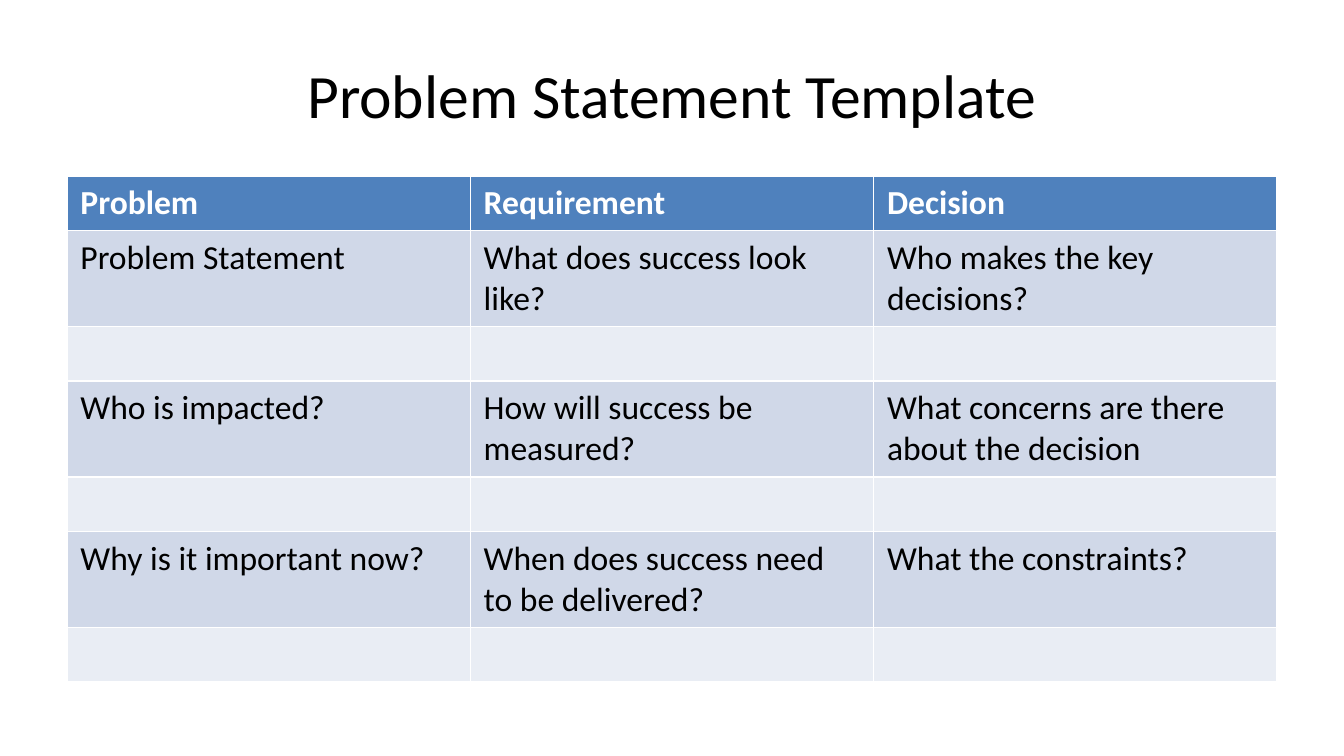
from dataclasses import dataclass

from pptx import Presentation
from pptx.dml.color import RGBColor as Rgb
from pptx.enum.text import MSO_ANCHOR as Anchor, MSO_AUTO_SIZE as Fit, PP_ALIGN as Align
from pptx.util import Emu, Pt

SCALE = 914400 / 134.4


@dataclass(frozen=True)
class Theme:
    font: str = "Calibri"
    title: int = 33
    body: int = 18
    ink: str = "000000"
    white: str = "FFFFFF"
    head: str = "4F81BD"
    band: str = "D0D8E8"
    blank: str = "E9EDF4"


THEME = Theme()
LEFT, WIDTH = 67, 1210
HEAD_H, ASK_H, BLANK_H = 54, 96, 54

HEADS = ["Problem", "Requirement", "Decision"]
ASKS = [
    ["Problem Statement", "What does success look like?", "Who makes the key decisions?"],
    ["Who is impacted?", "How will success be measured?",
     "What concerns are there about the decision"],
    ["Why is it important now?", "When does success need to be delivered?",
     "What the constraints?"],
]


def px(n):
    return Emu(round(n * SCALE))


def style(para, size, color, bold=False):
    for run in para.runs:
        font = run.font
        font.name, font.size, font.bold = THEME.font, Pt(size), bold
        font.color.rgb = Rgb.from_string(color)


def add_title(slide, text):
    title = slide.shapes.title
    title.left, title.top, title.width, title.height = map(px, (LEFT, 31, WIDTH, 126))
    frame = title.text_frame
    frame.text = text
    frame.auto_size = Fit.NONE
    frame.vertical_anchor = Anchor.MIDDLE
    para = frame.paragraphs[0]
    para.alignment = Align.CENTER
    style(para, THEME.title, THEME.ink)


def fill_row(table, index, height, texts, fill, color=THEME.ink, bold=False):
    row = table.rows[index]
    row.height = px(height)
    for cell, text in zip(row.cells, texts):
        cell.fill.solid()
        cell.fill.fore_color.rgb = Rgb.from_string(fill)
        if text:
            cell.text_frame.text = text
            style(cell.text_frame.paragraphs[0], THEME.body, color, bold)


def add_grid(slide):
    """Add the header row, then each row of questions with a blank answer row."""
    count = len(HEADS)
    high = HEAD_H + len(ASKS) * (ASK_H + BLANK_H)
    box = map(px, (LEFT, 176, WIDTH, high))
    table = slide.shapes.add_table(1 + 2 * len(ASKS), count, *box).table
    fill_row(table, 0, HEAD_H, HEADS, THEME.head, THEME.white, True)
    for i, asks in enumerate(ASKS):
        fill_row(table, 2 * i + 1, ASK_H, asks, THEME.band)
        fill_row(table, 2 * i + 2, BLANK_H, [""] * count, THEME.blank)


def main():
    deck = Presentation()
    deck.slide_width, deck.slide_height = px(1344), px(756)
    slide = deck.slides.add_slide(deck.slide_layouts[5])
    add_title(slide, "Problem Statement Template")
    add_grid(slide)
    deck.save("out.pptx")


if __name__ == "__main__":
    main()
